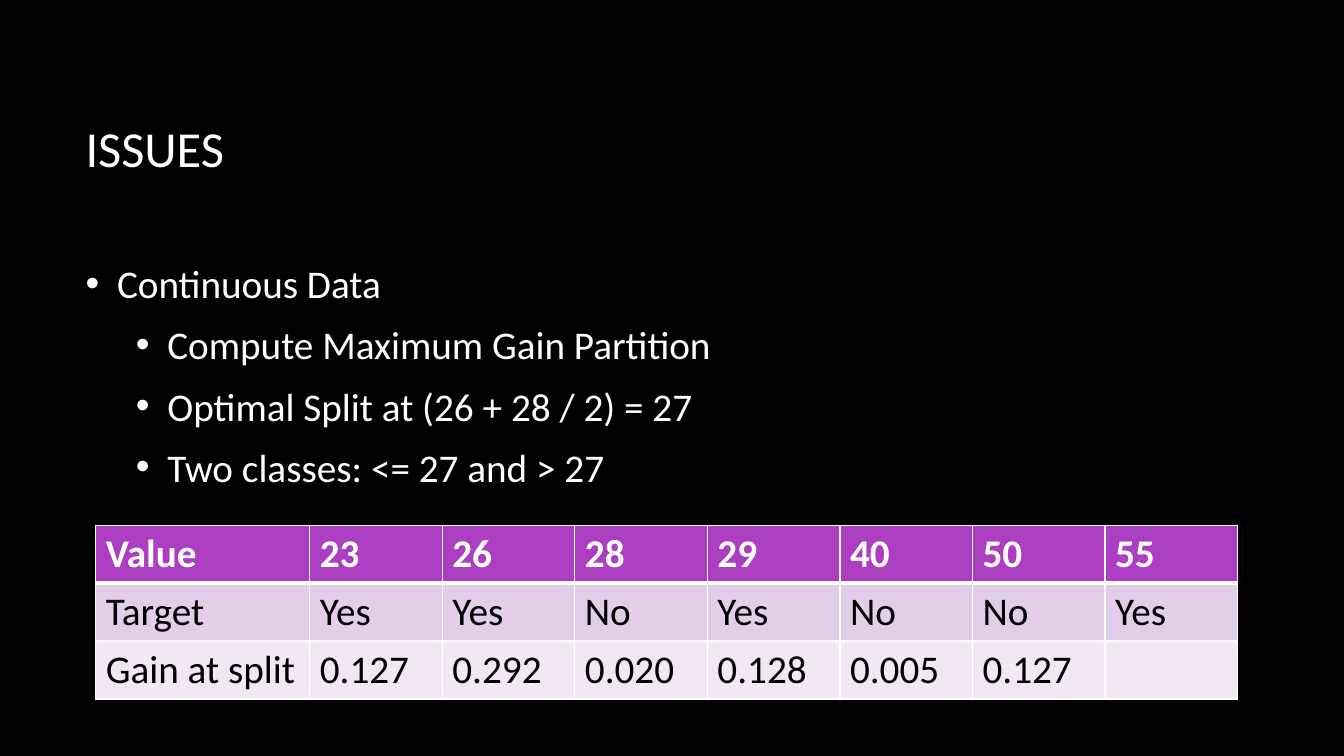
from dataclasses import dataclass

from lxml import etree
from pptx import Presentation
from pptx import util as u
from pptx.dml.color import RGBColor
from pptx.enum import text as t
from pptx.oxml import ns
from pptx.slide import Slide
from pptx.table import _Cell
from pptx.text.text import TextFrame, _Paragraph


@dataclass(frozen=True)
class Theme:
    font: str = "Calibri"
    title_size: float = 36
    text_size: float = 28
    background: str = "000000"
    light: str = "FFFFFF"
    dark: str = "000000"
    header_fill: str = "AC3EC1"
    band_fills: tuple[str, str] = ("E3CEE9", "F1E8F4")


@dataclass(frozen=True)
class Box:
    left: float
    top: float
    width: float
    height: float

    def lengths(self) -> tuple[u.Length, ...]:
        return tuple(u.Pt(v) for v in (self.left, self.top, self.width, self.height))


@dataclass(frozen=True)
class Point:
    wording: str
    level: int = 0


THEME = Theme()
TITLE_BOX = Box(54, 48.24, 797.76, 114.48)
POINTS_BOX = Box(54, 168.48, 797.76, 287.28)
POINTS_TOP_INSET = 17
GAINS_BOX = Box(68.4, 375.12, 815.76, 124.2)
LABEL_WIDTH = 152.9
INDENT = 22.5
LEVEL_STEP = 36

POINTS = [
    Point("Continuous Data"),
    Point("Compute Maximum Gain Partition", 1),
    Point("Optimal Split at (26 + 28 / 2) = 27", 1),
    Point("Two classes: <= 27 and > 27", 1),
]
GAINS = [
    ["Value", "23", "26", "28", "29", "40", "50", "55"],
    ["Target", "Yes", "Yes", "No", "Yes", "No", "No", "Yes"],
    ["Gain at split", "0.127", "0.292", "0.020", "0.128", "0.005", "0.127", ""],
]


def write(paragraph: _Paragraph, wording: str, *, size: float = THEME.text_size,
          color: str = THEME.light, bold: bool = False) -> None:
    paragraph.text = wording
    paragraph.alignment = t.PP_ALIGN.LEFT
    for font in (paragraph.font, *(run.font for run in paragraph.runs)):
        font.name = THEME.font
        font.size = u.Pt(size)
        font.bold = bold
        font.color.rgb = RGBColor.from_string(color)


def add_bullet(paragraph: _Paragraph, level: int) -> None:
    paragraph.level = level
    paragraph.space_after = u.Pt(10)
    properties = paragraph._p.get_or_add_pPr()
    properties.set("marL", str(u.Pt(INDENT + LEVEL_STEP * level)))
    properties.set("indent", str(-u.Pt(INDENT)))
    # Bullet elements must precede the default run properties.
    bullet_font = etree.Element(ns.qn("a:buFont"), typeface="Arial")
    bullet = etree.Element(ns.qn("a:buChar"), char="•")
    defaults = properties.find(ns.qn("a:defRPr"))
    defaults.addprevious(bullet_font)
    defaults.addprevious(bullet)


def add_text_frame(slide: Slide, box: Box, anchor: t.MSO_ANCHOR) -> TextFrame:
    frame = slide.shapes.add_textbox(*box.lengths()).text_frame
    frame.word_wrap = True
    frame.vertical_anchor = anchor
    return frame


def add_points(slide: Slide) -> None:
    frame = add_text_frame(slide, POINTS_BOX, t.MSO_ANCHOR.TOP)
    frame.margin_top = u.Pt(POINTS_TOP_INSET)
    for index, point in enumerate(POINTS):
        paragraph = frame.add_paragraph() if index else frame.paragraphs[0]
        write(paragraph, point.wording)
        add_bullet(paragraph, point.level)


def set_borders(cell: _Cell, **widths: float) -> None:
    """Draw the sides L, R, T and B in the given widths, under the cell's fill order."""
    properties = cell._tc.get_or_add_tcPr()
    for index, (side, width) in enumerate(widths.items()):
        line = etree.Element(ns.qn(f"a:ln{side}"), w=str(u.Pt(width)))
        fill = etree.SubElement(line, ns.qn("a:solidFill"))
        etree.SubElement(fill, ns.qn("a:srgbClr"), val=THEME.light)
        properties.insert(index, line)


def add_gains(slide: Slide) -> None:
    row_count, column_count = len(GAINS), len(GAINS[0])
    table = slide.shapes.add_table(row_count, column_count, *GAINS_BOX.lengths()).table
    value_width = (GAINS_BOX.width - LABEL_WIDTH) / (column_count - 1)
    for index, column in enumerate(table.columns):
        column.width = u.Pt(value_width if index else LABEL_WIDTH)
    fills = (THEME.header_fill, *THEME.band_fills)
    for row, (values, fill) in enumerate(zip(GAINS, fills)):
        table.rows[row].height = u.Pt(GAINS_BOX.height / row_count)
        header = row == 0
        for column, value in enumerate(values):
            cell = table.cell(row, column)
            cell.fill.solid()
            cell.fill.fore_color.rgb = RGBColor.from_string(fill)
            set_borders(cell, L=1, R=1, T=3 if row == 1 else 1, B=3 if header else 1)
            write(cell.text_frame.paragraphs[0], value, bold=header,
                  color=THEME.light if header else THEME.dark)


def main() -> None:
    deck = Presentation()
    deck.slide_width, deck.slide_height = u.Pt(960), u.Pt(540)
    slide = deck.slides.add_slide(deck.slide_layouts[6])
    slide.background.fill.solid()
    slide.background.fill.fore_color.rgb = RGBColor.from_string(THEME.background)
    title = add_text_frame(slide, TITLE_BOX, t.MSO_ANCHOR.MIDDLE)
    write(title.paragraphs[0], "ISSUES", size=THEME.title_size)
    add_points(slide)
    add_gains(slide)
    deck.save("out.pptx")


if __name__ == "__main__":
    main()
